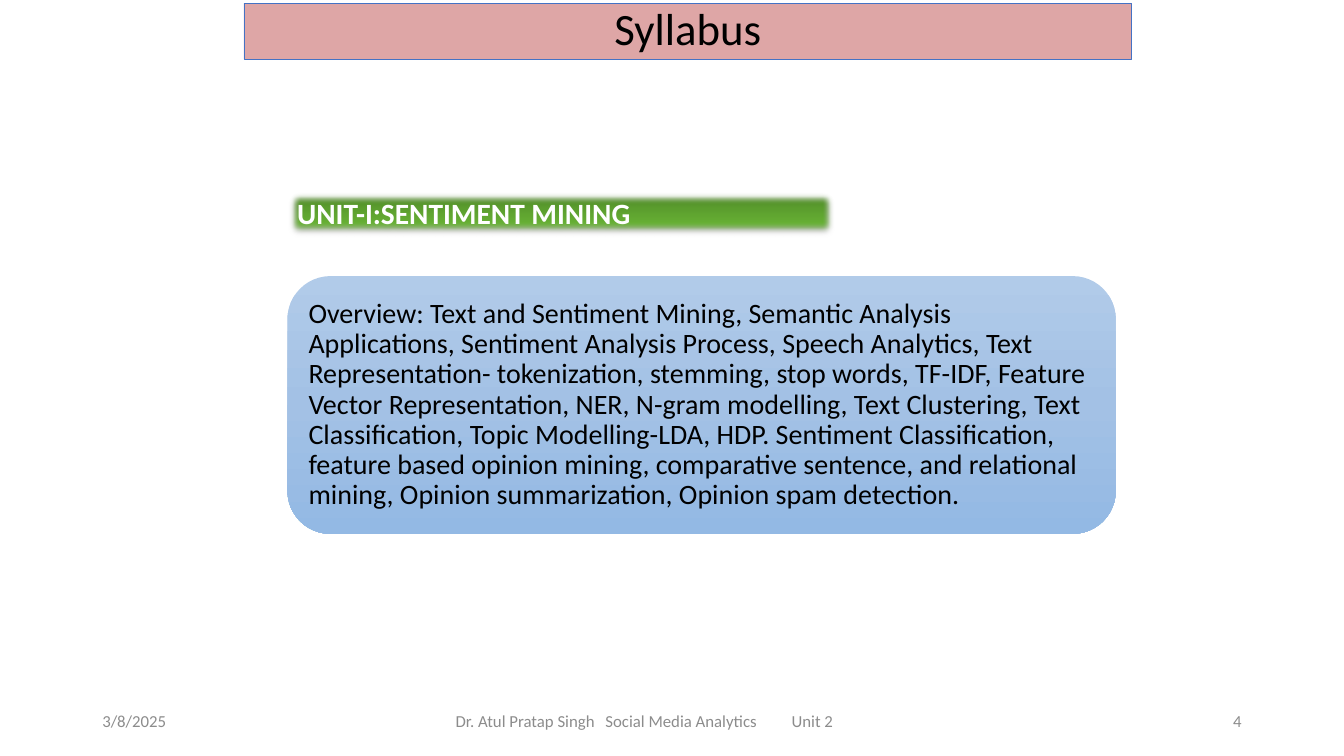
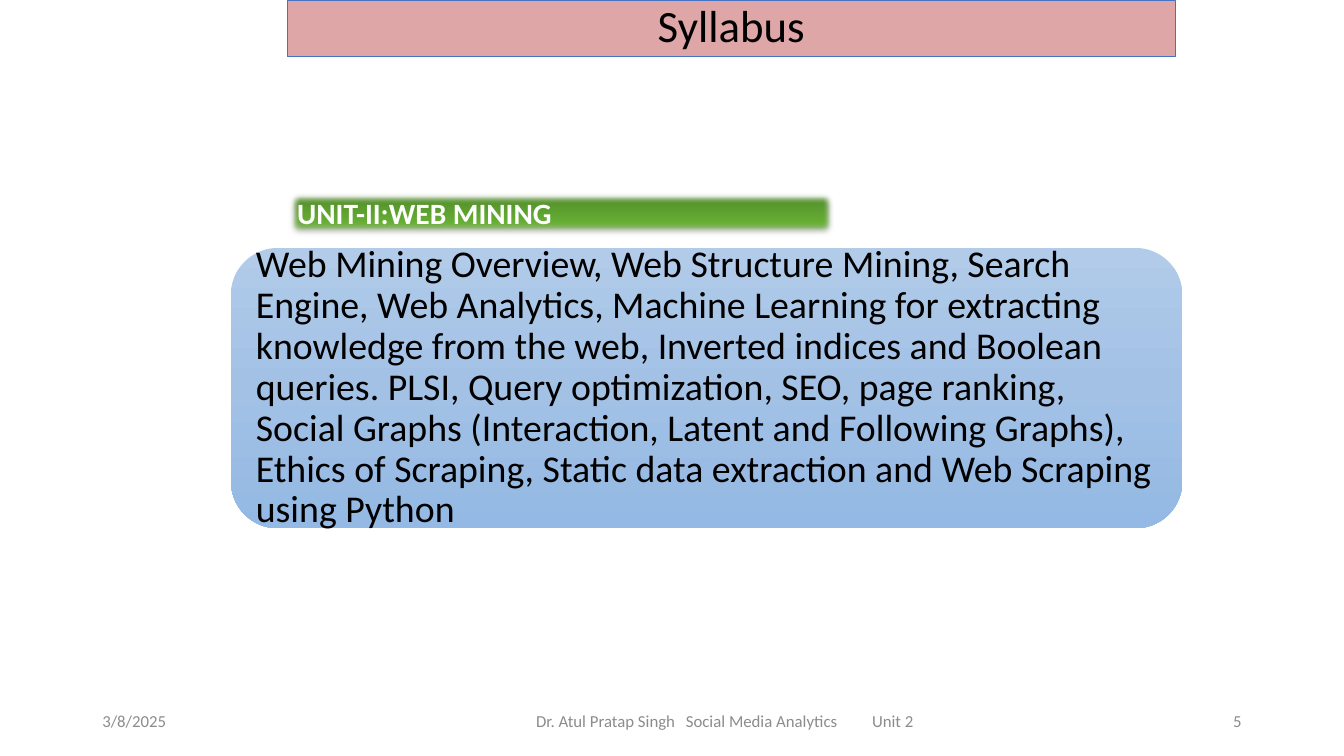
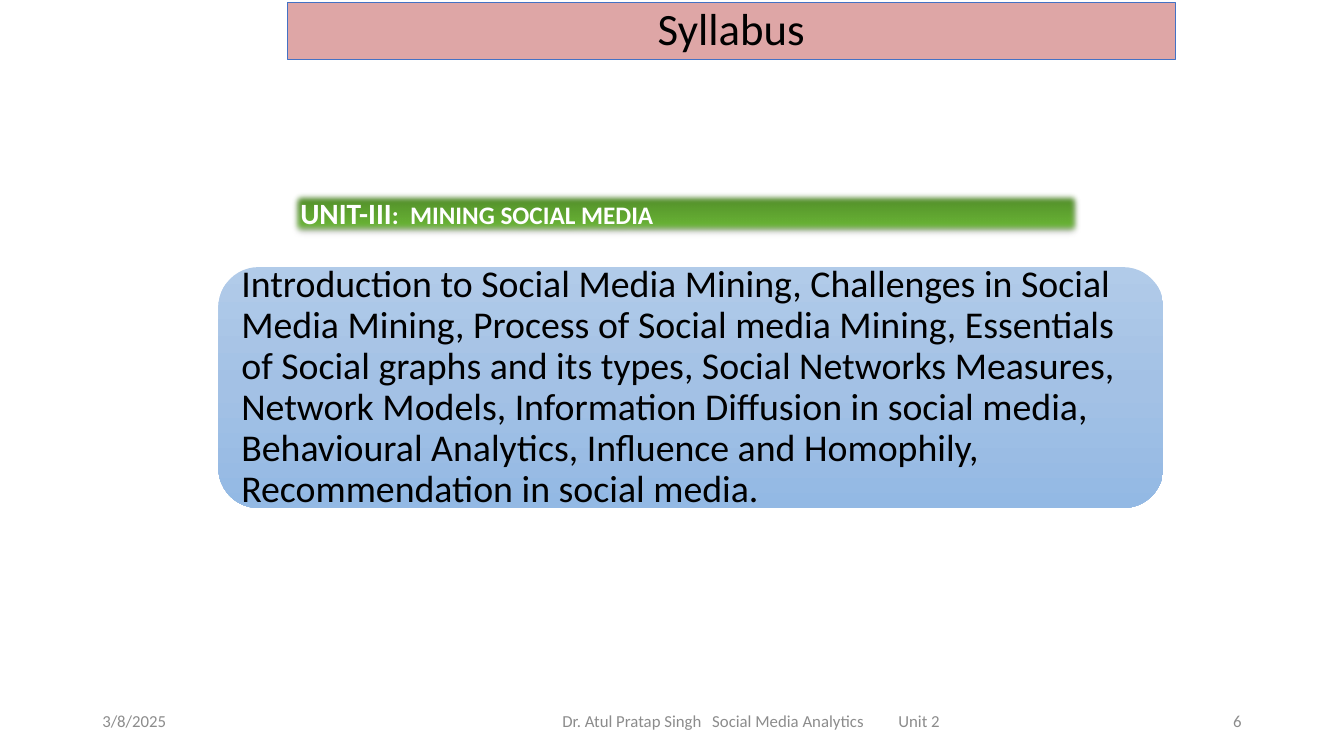
from dataclasses import dataclass

from lxml import etree
from pptx import Presentation
from pptx.dml.color import RGBColor
from pptx.enum.shapes import MSO_SHAPE
from pptx.enum.text import MSO_ANCHOR, MSO_AUTO_SIZE, PP_ALIGN
from pptx.oxml.ns import qn
from pptx.shapes.autoshape import Shape
from pptx.slide import Slide
from pptx.util import Pt

# Enum members
RECTANGLE = MSO_SHAPE.RECTANGLE
ROUNDED_RECTANGLE = MSO_SHAPE.ROUNDED_RECTANGLE
LEFT, CENTER, RIGHT = PP_ALIGN.LEFT, PP_ALIGN.CENTER, PP_ALIGN.RIGHT
TOP, MIDDLE = MSO_ANCHOR.TOP, MSO_ANCHOR.MIDDLE

# Shared style
FONT = "Calibri"
BLACK = RGBColor(0x00, 0x00, 0x00)
WHITE = RGBColor(0xFF, 0xFF, 0xFF)
FOOTER_GREY = RGBColor(0x8C, 0x8C, 0x8C)
TITLE_PINK = RGBColor(0xDE, 0xA6, 0xA6)
TITLE_BORDER = RGBColor(0x44, 0x72, 0xC4)
GREEN_STOPS = (
    (0, RGBColor(0x4D, 0x85, 0x27)),
    (80, RGBColor(0x6A, 0xB6, 0x36)),
    (100, RGBColor(0x6A, 0xBA, 0x34)),
)
BLUE_STOPS = (
    (0, RGBColor(0xB1, 0xCB, 0xE9)),
    (50, RGBColor(0xA3, 0xC1, 0xE5)),
    (100, RGBColor(0x93, 0xB9, 0xE4)),
)

# Shared layout, in points
SLIDE_WIDTH, SLIDE_HEIGHT = 960, 540
TITLE_WIDTH, TITLE_HEIGHT = 634.3, 40.3
HEADING_TOP, HEADING_HEIGHT = 136.1, 32.4
FOOTER_TOP, FOOTER_HEIGHT = 500.5, 28.8
FOOTER_SIDE_WIDTH = 216
DATE_LEFT, NUMBER_LEFT = 66, 678
FOOTER_TEXT_WIDTH = 269.4
FOOTER_TABS = (107, 240)
HEADING_TABS = (78.5,)

DATE = "3/8/2025"
FOOTER = "Dr. Atul Pratap Singh\tSocial Media Analytics\tUnit 2"


@dataclass(frozen=True)
class Box:
    left: float
    top: float
    width: float
    height: float


@dataclass(frozen=True)
class TextPart:
    text: str
    size: float


@dataclass(frozen=True)
class Unit:
    number: int
    title_left: float
    title_top: float
    heading_left: float
    heading_width: float
    heading: tuple[TextPart, ...]
    panel: Box
    panel_inset: float
    topics: TextPart
    footer_left: float
    footer_width: float


UNITS = (
    Unit(
        4, 174.2, 2.2, 205.2, 391.7,
        (TextPart("UNIT-I:SENTIMENT MINING", 21),),
        Box(205.4, 197.2, 591.6, 184.1), 6,
        TextPart(
            "Overview: Text and Sentiment Mining, Semantic Analysis Applications, "
            "Sentiment Analysis Process, Speech Analytics, Text Representation- "
            "tokenization, stemming, stop words, TF-IDF, Feature Vector "
            "Representation, NER, N-gram modelling, Text Clustering, Text "
            "Classification, Topic Modelling-LDA, HDP. Sentiment Classification, "
            "feature based opinion mining, comparative sentence, and relational "
            "mining, Opinion summarization, Opinion spam detection.", 20),
        254.2, 411.8,
    ),
    Unit(
        5, 205.2, 0, 205.2, 391.7,
        (TextPart("UNIT-II:WEB MINING", 21),),
        Box(165, 177.1, 679.5, 200.2), 8,
        TextPart(
            "Web Mining Overview, Web Structure Mining, Search Engine, Web "
            "Analytics, Machine Learning for extracting knowledge from the web, "
            "Inverted indices and Boolean queries. PLSI, Query optimization, SEO, "
            "page ranking, Social Graphs (Interaction, Latent and Following "
            "Graphs), Ethics of Scraping, Static data extraction and Web Scraping "
            "using Python", 27),
        357.8, 319.7,
    ),
    Unit(
        6, 205.2, 1.8, 207.4, 565.2,
        (TextPart("UNIT-III", 21), TextPart(":\tMINING SOCIAL MEDIA", 18)),
        Box(156, 190.8, 675, 172.1), 8,
        TextPart(
            "Introduction to Social Media Mining, Challenges in Social Media "
            "Mining, Process of Social media Mining, Essentials of Social graphs "
            "and its types, Social Networks Measures, Network Models, Information "
            "Diffusion in social media, Behavioural Analytics, Influence and "
            "Homophily, Recommendation in social media.", 27),
        376.6, 319.7,
    ),
)


def add_box(slide: Slide, kind: MSO_SHAPE, box: Box) -> Shape:
    """Add a preset shape without border or shadow."""
    shape = slide.shapes.add_shape(
        kind, Pt(box.left), Pt(box.top), Pt(box.width), Pt(box.height))
    shape.shadow.inherit = False
    shape.line.fill.background()
    return shape


def write(shape: Shape, parts: tuple[TextPart, ...], color: RGBColor,
          align: PP_ALIGN = LEFT, anchor: MSO_ANCHOR = MIDDLE, bold: bool = False,
          line_spacing: float = 1.0, tabs: tuple[float, ...] = ()) -> None:
    """Fill a shape with one paragraph of formatted runs."""
    frame = shape.text_frame
    frame.word_wrap = True
    frame.vertical_anchor = anchor
    paragraph = frame.paragraphs[0]
    paragraph.alignment = align
    paragraph.line_spacing = line_spacing
    if tabs:
        properties = paragraph._p.get_or_add_pPr()
        tab_list = etree.SubElement(properties, qn("a:tabLst"))
        for position in tabs:
            etree.SubElement(tab_list, qn("a:tab"), pos=str(Pt(position)), algn="l")
    for part in parts:
        run = paragraph.add_run()
        run.text = part.text
        run.font.name = FONT
        run.font.size = Pt(part.size)
        run.font.bold = bold
        run.font.color.rgb = color


def fill_downwards(shape: Shape, stops: tuple[tuple[int, RGBColor], ...]) -> None:
    """Fill a shape with a gradient running from top to bottom."""
    shape.fill.gradient()
    shape.fill.gradient_angle = 270
    stop_list = shape.element.spPr.find(qn("a:gradFill")).find(qn("a:gsLst"))
    for old_stop in list(stop_list):
        stop_list.remove(old_stop)
    for percent, color in stops:
        stop = etree.SubElement(stop_list, qn("a:gs"), pos=str(percent * 1000))
        etree.SubElement(stop, qn("a:srgbClr"), val=str(color))


def add_soft_shadow(shape: Shape) -> None:
    """Give a shape a faint shadow below it and feathered edges."""
    effects = shape.element.spPr.find(qn("a:effectLst"))
    shadow = etree.SubElement(
        effects, qn("a:outerShdw"), blurRad=str(Pt(3.1)), dist=str(Pt(1.8)),
        dir="5400000", rotWithShape="0")
    color = etree.SubElement(shadow, qn("a:srgbClr"), val=str(BLACK))
    etree.SubElement(color, qn("a:alpha"), val="35000")
    etree.SubElement(effects, qn("a:softEdge"), rad=str(Pt(5)))


def add_footer_text(slide: Slide, text: str, left: float, width: float,
                    align: PP_ALIGN = LEFT) -> None:
    box = slide.shapes.add_textbox(
        Pt(left), Pt(FOOTER_TOP), Pt(width), Pt(FOOTER_HEIGHT))
    tabs = FOOTER_TABS if "\t" in text else ()
    if tabs:
        # Centre the tabbed line inside its box
        box.text_frame.margin_left = Pt((width - FOOTER_TEXT_WIDTH) / 2)
        box.text_frame.margin_right = 0
    write(box, (TextPart(text, 12),), FOOTER_GREY, align, tabs=tabs)


def add_title(slide: Slide, left: float, top: float) -> None:
    title = add_box(slide, RECTANGLE, Box(left, top, TITLE_WIDTH, TITLE_HEIGHT))
    title.fill.solid()
    title.fill.fore_color.rgb = TITLE_PINK
    title.line.color.rgb = TITLE_BORDER
    title.line.width = Pt(0.5)
    write(title, (TextPart("Syllabus", 32),), BLACK, CENTER, line_spacing=0.9)


def add_panel(slide: Slide, unit: Unit) -> None:
    panel = add_box(slide, ROUNDED_RECTANGLE, unit.panel)
    fill_downwards(panel, BLUE_STOPS)
    frame = panel.text_frame
    frame.margin_left = frame.margin_right = Pt(unit.panel_inset)
    frame.margin_top = frame.margin_bottom = Pt(unit.panel_inset)
    write(panel, (unit.topics,), BLACK, line_spacing=0.9)


def add_heading(slide: Slide, unit: Unit) -> None:
    heading = add_box(slide, RECTANGLE, Box(
        unit.heading_left, HEADING_TOP, unit.heading_width, HEADING_HEIGHT))
    fill_downwards(heading, GREEN_STOPS)
    add_soft_shadow(heading)
    tabs = HEADING_TABS if len(unit.heading) > 1 else ()
    write(heading, unit.heading, WHITE, anchor=TOP, bold=True, tabs=tabs)
    heading.text_frame.auto_size = MSO_AUTO_SIZE.SHAPE_TO_FIT_TEXT


def main() -> None:
    presentation = Presentation()
    presentation.slide_width = Pt(SLIDE_WIDTH)
    presentation.slide_height = Pt(SLIDE_HEIGHT)
    blank_layout = presentation.slide_layouts[6]
    for unit in UNITS:
        slide = presentation.slides.add_slide(blank_layout)
        # Footer
        add_footer_text(slide, DATE, DATE_LEFT, FOOTER_SIDE_WIDTH)
        add_footer_text(slide, FOOTER, unit.footer_left, unit.footer_width)
        add_footer_text(slide, str(unit.number), NUMBER_LEFT, FOOTER_SIDE_WIDTH, RIGHT)
        # Content
        add_title(slide, unit.title_left, unit.title_top)
        add_panel(slide, unit)
        add_heading(slide, unit)
    presentation.save("out.pptx")


if __name__ == "__main__":
    main()
